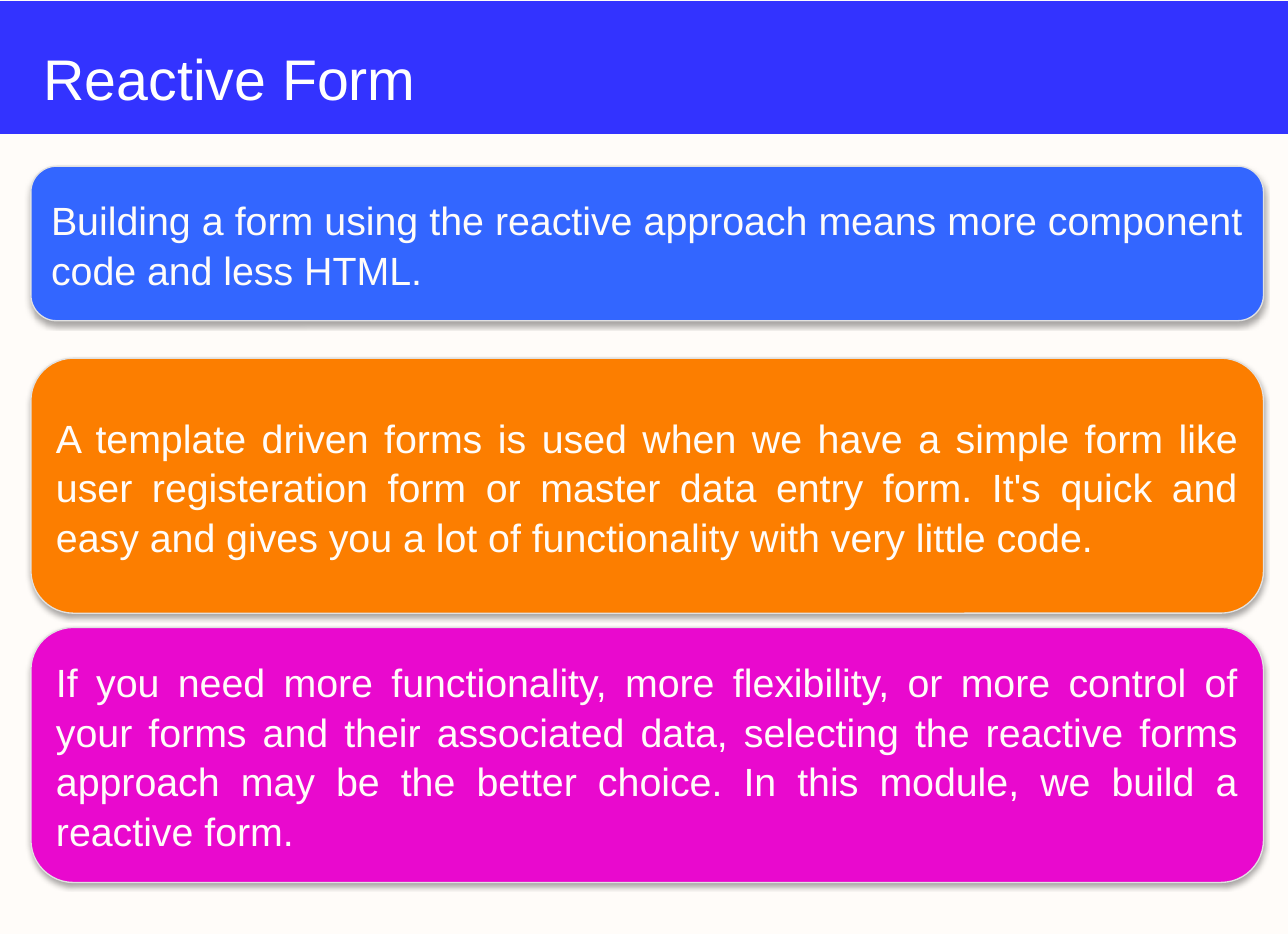
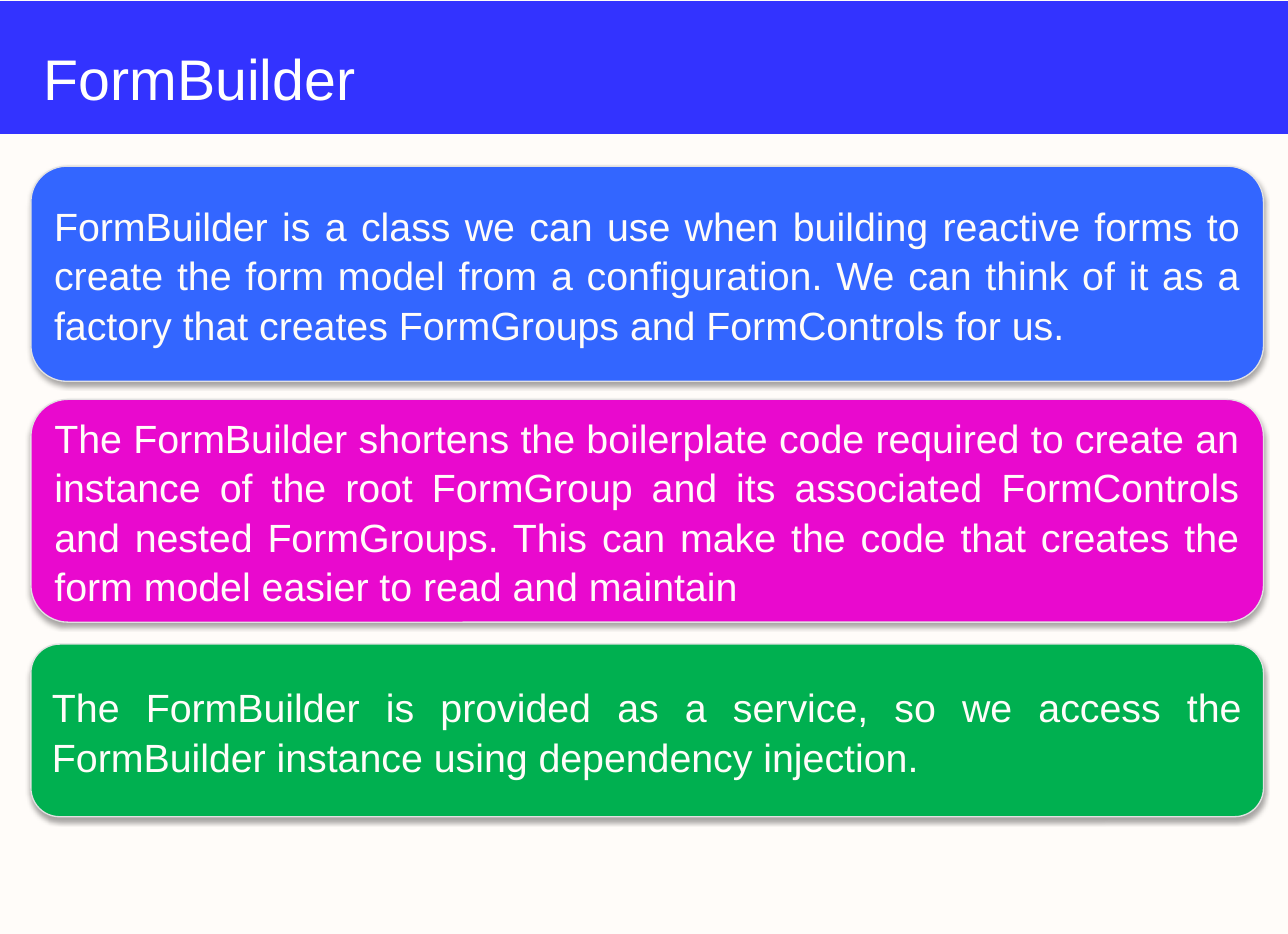
from pptx import Presentation
from pptx.dml.color import RGBColor
from pptx.enum.shapes import MSO_SHAPE
from pptx.enum.text import MSO_ANCHOR, PP_ALIGN
from pptx.oxml import parse_xml
from pptx.oxml.ns import nsdecls
from pptx.util import Pt

SCALE = 9144
WIDE, HIGH = 1000, 725
LEFT, SPAN = 24, 957

PAPER, BAND, WHITE, EDGE = "FFFCF9", "3333FF", "FFFFFF", "E1E1E1"
BLUE, ORANGE, PINK, GREEN = "3366FF", "FC7E00", "E909CE", "00B050"

TITLE = {
    "font": {"name": "Arial", "size": Pt(32)},
    "frame": {"word_wrap": True, "vertical_anchor": MSO_ANCHOR.BOTTOM,
              "margin_top": 0, "margin_bottom": 0},
    "para": {"alignment": PP_ALIGN.LEFT},
}
BODY = {
    "font": {"name": "Arial", "size": Pt(22)},
    "frame": {"word_wrap": True, "vertical_anchor": MSO_ANCHOR.MIDDLE},
    "para": {"alignment": PP_ALIGN.JUSTIFY, "line_spacing": 1.05,
             "space_before": Pt(3)},
}
SHADE = (
    f'<a:outerShdw {nsdecls("a")} blurRad="40000" dist="23000" '
    'dir="5400000" rotWithShape="0"><a:srgbClr val="000000">'
    '<a:alpha val="35000"/></a:srgbClr></a:outerShdw>'
)

SLIDES = [
    ("Reactive Form", [
        (129, 120, BLUE,
         "Building a form using the reactive approach means more component "
         "code and less HTML."),
        (278, 198, ORANGE,
         "A template driven forms is used when we have a simple form like "
         "user registeration form or master data entry form. It's quick and "
         "easy and gives you a lot of functionality with very little code."),
        (487, 198, PINK,
         "If you need more functionality, more flexibility, or more control "
         "of your forms and their associated data, selecting the reactive "
         "forms approach may be the better choice. In this module, we build "
         "a reactive form."),
    ]),
    ("FormBuilder", [
        (129, 167, BLUE,
         "FormBuilder is a class we can use when building reactive forms to "
         "create the form model from a configuration. We can think of it as "
         "a factory that creates FormGroups and FormControls for us."),
        (310, 173, PINK,
         "The FormBuilder shortens the boilerplate code required to create "
         "an instance of the root FormGroup and its associated FormControls "
         "and nested FormGroups. This can make the code that creates the "
         "form model easier to read and maintain"),
        (500, 134, GREEN,
         "The FormBuilder is provided as a service, so we access the "
         "FormBuilder instance using dependency injection."),
    ]),
]


def paint(part, tint):
    part.solid()
    part.fore_color.rgb = RGBColor.from_string(tint)


def apply(item, values):
    for key, value in values.items():
        setattr(item, key, value)


def px(*sizes):
    return [size * SCALE for size in sizes]


class Deck:
    def __init__(self):
        self.show = Presentation()
        self.show.slide_width, self.show.slide_height = px(WIDE, HIGH)
        self.slide = None

    def page(self, title):
        self.slide = self.show.slides.add_slide(self.show.slide_layouts[6])
        paint(self.slide.background.fill, PAPER)
        self.band()
        self.title(title)

    def shape(self, kind, area, tint):
        shape = self.slide.shapes.add_shape(kind, *px(*area))
        shape.shadow.inherit = False
        paint(shape.fill, tint)
        return shape

    def label(self, shape, text, style, tint):
        frame = shape.text_frame
        apply(frame, style["frame"])
        para = frame.paragraphs[0]
        apply(para, style["para"])
        run = para.add_run()
        run.text = text
        apply(run.font, style["font"])
        paint(run.font.fill, tint)

    def band(self):
        band = self.shape(MSO_SHAPE.RECTANGLE, (0, 1, WIDE, 103), BAND)
        band.line.fill.background()

    def title(self, text):
        box = self.slide.shapes.add_textbox(*px(LEFT, 27, SPAN, 60))
        self.label(box, text, TITLE, WHITE)

    def card(self, top, high, tint, text):
        area = (LEFT, top, SPAN, high)
        card = self.shape(MSO_SHAPE.ROUNDED_RECTANGLE, area, tint)
        paint(card.line.fill, EDGE)
        card.line.width = Pt(0.75)
        card.element.spPr.find("{*}effectLst").append(parse_xml(SHADE))
        self.label(card, text, BODY, PAPER)


def main():
    deck = Deck()
    for title, cards in SLIDES:
        deck.page(title)
        for card in cards:
            deck.card(*card)
    deck.show.save("out.pptx")


if __name__ == "__main__":
    main()
